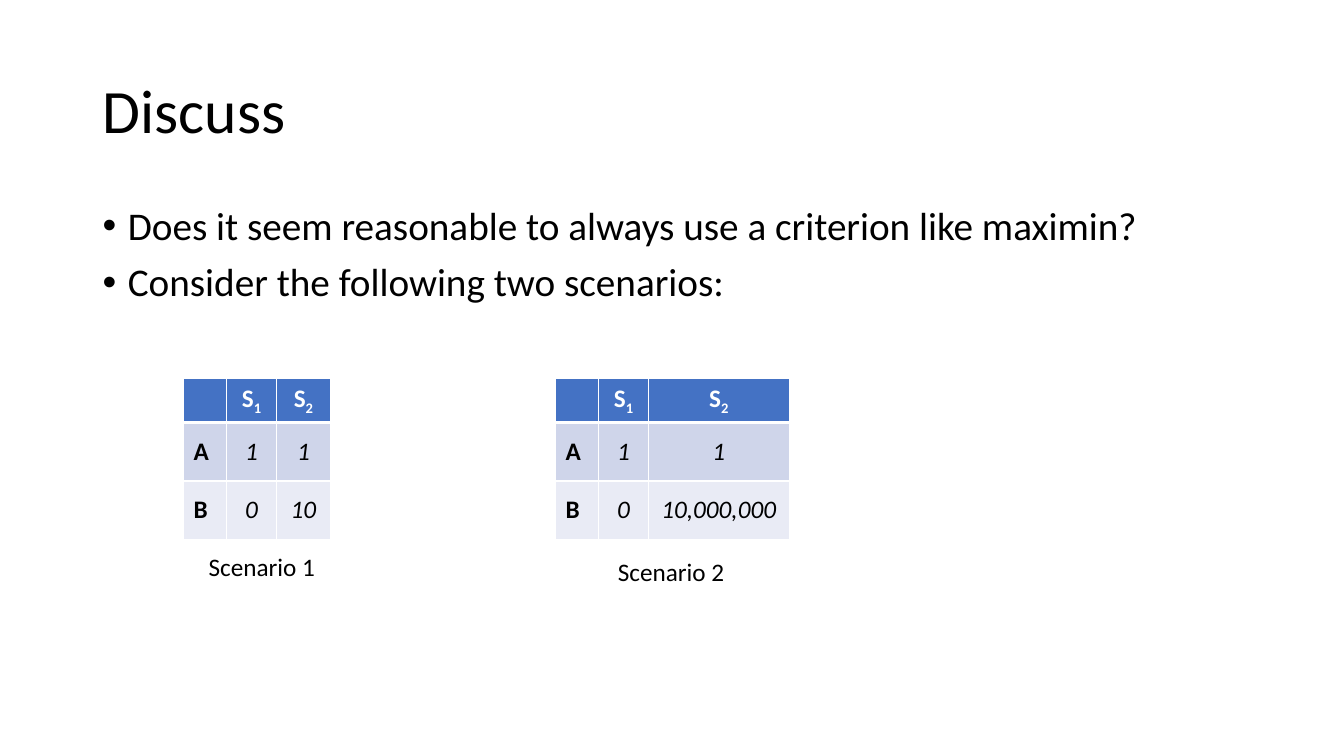
from dataclasses import dataclass

from lxml import etree
from pptx import Presentation
from pptx.dml.color import RGBColor
from pptx.enum.text import MSO_ANCHOR, PP_ALIGN
from pptx.oxml.ns import qn
from pptx.util import Emu, Pt

PX = 9144  # 100 px to the inch
LEFT, CENTER = PP_ALIGN.LEFT, PP_ALIGN.CENTER
TOP, MIDDLE = MSO_ANCHOR.TOP, MSO_ANCHOR.MIDDLE


@dataclass(frozen=True)
class Theme:
    font: str = "Calibri"
    ink: str = "000000"
    white: str = "FFFFFF"
    head: str = "4472C4"
    bands: tuple = ("CFD5EA", "E9EBF5")
    title: int = 44
    body: int = 28
    small: int = 18
    thin: int = 1
    thick: int = 3


class Deck:
    def __init__(self, theme, width, height):
        self.theme = theme
        self.prs = Presentation()
        self.prs.slide_width, self.prs.slide_height = Emu(width * PX), Emu(height * PX)
        self.slide = self.prs.slides.add_slide(self.prs.slide_layouts[6])

    def run(self, para, text, size, color=None, bold=False, italic=False, base=0):
        run = para.add_run()
        run.text = text
        font = run.font
        font.name, font.size = self.theme.font, Pt(size)
        font.bold, font.italic = bold, italic
        font.color.rgb = RGBColor.from_string(color or self.theme.ink)
        if base:
            font._element.set("baseline", str(base * 1000))

    def text(self, box, lines, size, anchor=TOP, spacing=1.0, bullet=False):
        frame = self.slide.shapes.add_textbox(*(Emu(n * PX) for n in box)).text_frame
        frame.word_wrap = True
        frame.vertical_anchor = anchor
        for i, line in enumerate(lines):
            para = frame.paragraphs[0] if i == 0 else frame.add_paragraph()
            para.line_spacing = spacing
            if bullet:
                self.bullet(para)
            self.run(para, line, size)

    def bullet(self, para):
        para.space_before = Pt(10)
        props = para._p.get_or_add_pPr()
        props.set("marL", str(25 * PX))
        props.set("indent", str(-25 * PX))
        etree.SubElement(props, qn("a:buFont"), typeface="Arial")
        etree.SubElement(props, qn("a:buChar"), char="•")

    def border(self, cell, row):
        theme = self.theme
        props = cell._tc.get_or_add_tcPr()
        for side in "LRTB":
            thick = (row, side) in ((0, "B"), (1, "T"))
            width = Pt(theme.thick if thick else theme.thin)
            line = etree.SubElement(props, qn("a:ln" + side), w=str(width))
            fill = etree.SubElement(line, qn("a:solidFill"))
            etree.SubElement(fill, qn("a:srgbClr"), val=theme.white)

    def table(self, left, top, cols, rows, body):
        """Draw payoffs of each act (row) under states S1, S2, ... (columns)."""
        theme = self.theme
        box = (left, top, sum(cols), sum(rows))
        table = self.slide.shapes.add_table(
            len(rows), len(cols), *(Emu(n * PX) for n in box)).table
        for col, width in zip(table.columns, cols):
            col.width = Emu(width * PX)
        for row, height in zip(table.rows, rows):
            row.height = Emu(height * PX)
        for r in range(len(rows)):
            for c in range(len(cols)):
                cell = table.cell(r, c)
                self.border(cell, r)
                cell.fill.solid()
                fill = theme.bands[(r - 1) % 2] if r else theme.head
                cell.fill.fore_color.rgb = RGBColor.from_string(fill)
                cell.vertical_anchor = MIDDLE if r else TOP
                para = cell.text_frame.paragraphs[0]
                para.alignment = CENTER if c else LEFT
                if r:
                    self.run(para, body[r - 1][c], theme.small, bold=c == 0, italic=c > 0)
                elif c:
                    self.run(para, "S", theme.small, theme.white, bold=True)
                    self.run(para, str(c), theme.small, theme.white, bold=True, base=-25)


def main():
    theme = Theme()
    deck = Deck(theme, 1333, 750)
    deck.text((92, 40, 1150, 145), ["Discuss"], theme.title, MIDDLE, 0.9)
    deck.text((92, 200, 1150, 476), [
        "Does it seem reasonable to always use a criterion like maximin?",
        "Consider the following two scenarios:",
    ], theme.body, spacing=0.9, bullet=True)

    # table left, last column width, best payoff, caption left and top
    cases = [(182, 54, "10", 197, 542), (551, 140, "10,000,000", 603, 547)]
    for i, (left, last, best, x, y) in enumerate(cases, 1):
        acts = [("A", "1", "1"), ("B", "0", best)]
        deck.table(left, 375, (43, 49, last), (34, 58, 58), acts)
        deck.text((x, y, 208, 40), [f"Scenario {i}"], theme.small)
    deck.prs.save("out.pptx")


if __name__ == "__main__":
    main()
